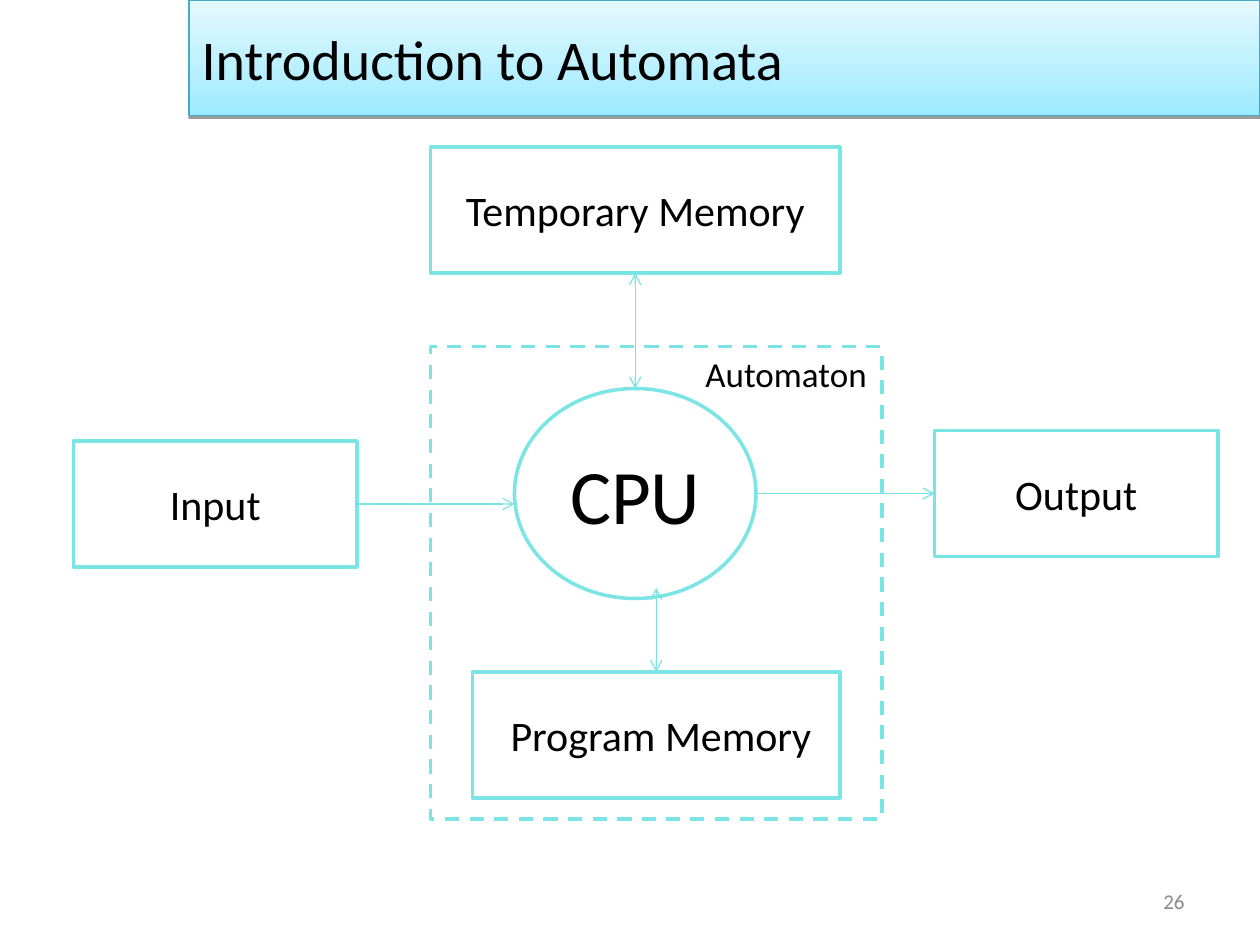
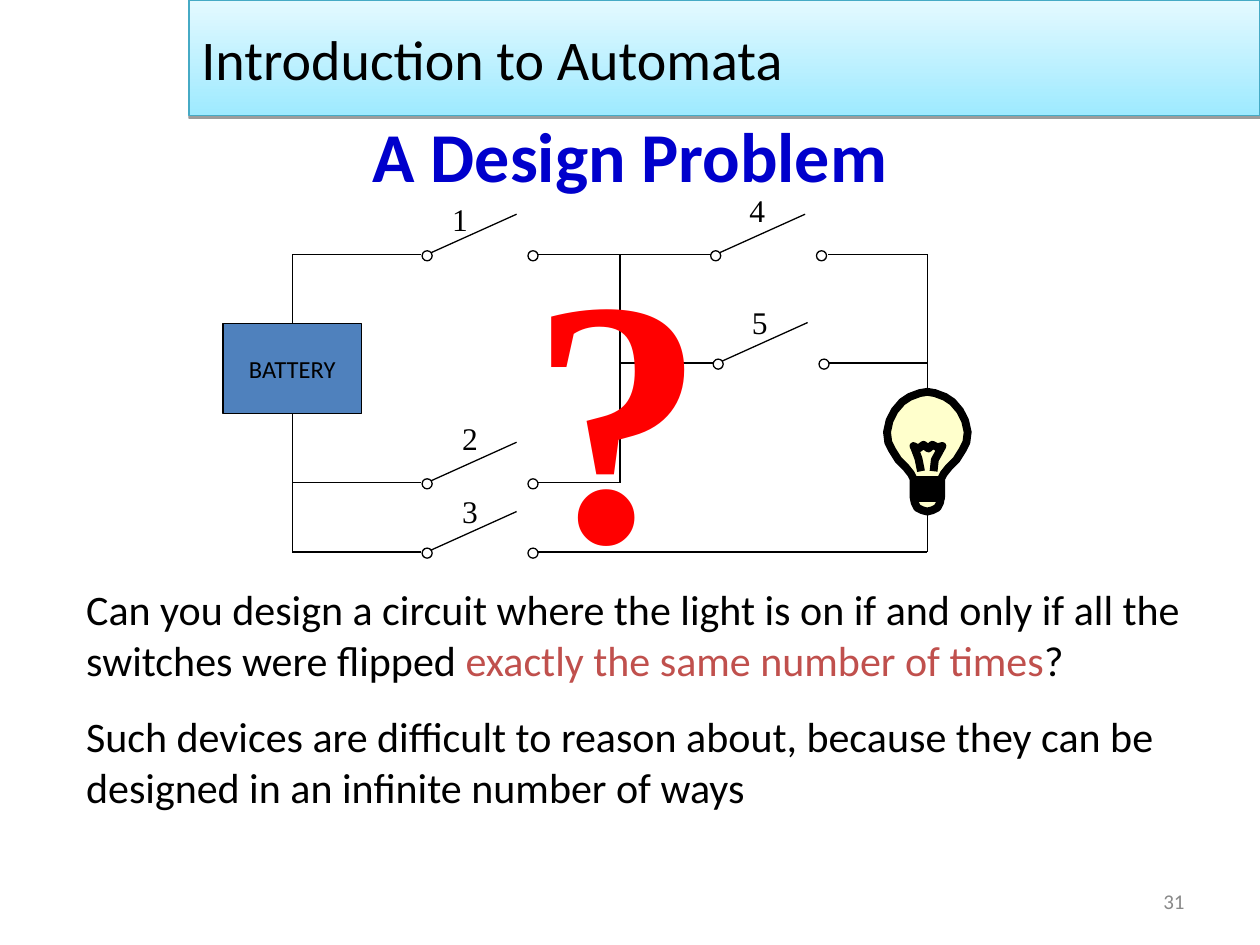
from dataclasses import dataclass
from typing import NamedTuple, Optional

from lxml import etree
from pptx import Presentation, util as u
from pptx.dml.color import RGBColor
from pptx.enum import dml, shapes, text
from pptx.oxml.ns import qn

COLORS = {
    "ink": "000000", "aqua": "7BE5E5", "band_low": "9EEAFF", "band_high": "E4F9FF",
    "band_edge": "46AAC5", "footer": "898989", "heading": "0000CC", "accent": "C0504D",
    "battery": "4F81BD", "contact": "FFFFFF", "bulb": "FFFFCC", "question": "FF0000",
}
SANS, SERIF = "Calibri", "Times New Roman"
WIDTH, HEIGHT = u.Inches(10), u.Inches(7.5)
RECT, OVAL = shapes.MSO_SHAPE.RECTANGLE, shapes.MSO_SHAPE.OVAL
LEFT, CENTER, RIGHT = text.PP_ALIGN.LEFT, text.PP_ALIGN.CENTER, text.PP_ALIGN.RIGHT
TOP, MIDDLE = text.MSO_ANCHOR.TOP, text.MSO_ANCHOR.MIDDLE
SIDE_TOP, SIDE_LEFT, SIDE_BOTTOM, SIDE_RIGHT = range(4)


class Box(NamedTuple):
    col: float
    row: float
    cols: float
    rows: float


class Point(NamedTuple):
    col: float
    row: float


@dataclass(frozen=True)
class Grid:
    columns: int
    rows: int

    def x(self, cols: float) -> int:
        return round(WIDTH * cols / self.columns)

    def y(self, rows: float) -> int:
        return round(HEIGHT * rows / self.rows)

    def place(self, box: Box) -> tuple:
        return self.x(box.col), self.y(box.row), self.x(box.cols), self.y(box.rows)

    def ends(self, start: Point, end: Point) -> tuple:
        return self.x(start.col), self.y(start.row), self.x(end.col), self.y(end.row)


PAGE = Grid(120, 90)
CIRCUIT = Grid(1000, 750)


@dataclass(frozen=True)
class Run:
    words: str
    size: float = 24
    color: str = "ink"
    font: str = SANS
    bold: bool = False


@dataclass(frozen=True)
class Unit:
    """A named part of the computer on the first slide."""
    name: str
    box: Box
    size: float = 24
    outline: int = RECT


@dataclass(frozen=True)
class Link:
    """A line; begin and end name the part and side it is joined to."""
    start: Point
    stop: Point
    begin: Optional[tuple] = None
    end: Optional[tuple] = None
    both_ways: bool = False


@dataclass(frozen=True)
class Switch:
    label: str
    contact: Point
    label_at: Point


UNITS = [
    Unit("CPU", Box(49, 37, 23, 20), 44, OVAL),
    Unit("Input", Box(7, 42, 27, 12)),
    Unit(" Program Memory", Box(45, 64, 35, 12)),
    Unit("Output", Box(89, 41, 27, 12)),
    Unit("Temporary Memory", Box(41, 14, 39, 12)),
]
FLOWS = [
    Link(Point(34, 48), Point(49, 48), begin=("Input", SIDE_RIGHT)),
    Link(Point(72, 47), Point(89, 47), end=("Output", SIDE_LEFT)),
    Link(Point(60.5, 26), Point(60.5, 37), begin=("Temporary Memory", SIDE_BOTTOM),
         both_ways=True),
    Link(Point(62.5, 56), Point(62.5, 64), end=(" Program Memory", SIDE_TOP), both_ways=True),
]

SWITCHES = [
    Switch("1", Point(335, 202), Point(349, 154)),
    Switch("2", Point(335, 383), Point(357, 328)),
    Switch("3", Point(335, 438), Point(357, 386)),
    Switch("4", Point(564, 202), Point(585, 147)),
    Switch("5", Point(566, 288), Point(587, 236)),
]
SOURCE_X, MIDDLE_X, LAMP_X = 232, 492, 736
TOP_Y, INNER_Y, LOWER_Y, BOTTOM_Y = 202, 288, 383, 438
WIRES = [
    Link(Point(SOURCE_X, 257), Point(SOURCE_X, TOP_Y), begin=("BATTERY", SIDE_TOP)),
    Link(Point(SOURCE_X, 328), Point(SOURCE_X, BOTTOM_Y), begin=("BATTERY", SIDE_BOTTOM)),
    Link(Point(MIDDLE_X, TOP_Y), Point(MIDDLE_X, LOWER_Y)),
    Link(Point(LAMP_X, TOP_Y), Point(LAMP_X, BOTTOM_Y)),
] + [Link(Point(left, row), Point(right, row)) for row, left, right in [
    (TOP_Y, SOURCE_X, 334), (TOP_Y, 421, 570), (TOP_Y, 657, LAMP_X),
    (INNER_Y, MIDDLE_X, 570), (INNER_Y, 657, LAMP_X),
    (LOWER_Y, SOURCE_X, 334), (LOWER_Y, 421, MIDDLE_X),
    (BOTTOM_Y, SOURCE_X, 334), (BOTTOM_Y, 421, LAMP_X),
]]

# Right half of the bulb: distance from its axis, then row.
BULB_HALF = [(0, 311), (6, 312), (14, 315), (20, 319), (26, 326), (30, 334), (32, 343),
             (31, 351), (28, 357), (23, 365), (17, 371), (13, 376), (11, 380), (11, 394),
             (10, 399), (8, 403), (4, 405), (0, 406)]
FILAMENT = [(731, 374), (729, 364), (726, 356), (725, 354), (729, 356), (733, 353), (737, 356),
            (740, 353), (744, 355), (748, 354), (742, 365), (741, 374)]
SCREW_BASE = [(725, 381), (747, 381), (747, 386), (725, 386), (725, 391), (747, 391),
              (747, 395), (726, 395)]


def rgb(name: str) -> RGBColor:
    return RGBColor.from_string(COLORS[name])


def write(shape, paragraphs: list, align=LEFT, anchor=TOP, wrap=True, gap: float = 0) -> None:
    """Fill a shape with paragraphs of runs, gap points apart."""
    frame = shape.text_frame
    frame.word_wrap = wrap
    frame.auto_size = text.MSO_AUTO_SIZE.NONE
    frame.vertical_anchor = anchor
    for index, runs in enumerate(paragraphs):
        paragraph = frame.add_paragraph() if index else frame.paragraphs[0]
        paragraph.alignment = align
        paragraph.space_before = u.Pt(gap if index else 0)
        for part in runs:
            run = paragraph.add_run()
            run.text = part.words
            run.font.size = u.Pt(part.size)
            run.font.name = part.font
            run.font.bold = part.bold
            run.font.color.rgb = rgb(part.color)


def style(shape, fill: Optional[str], line: str, weight: float) -> None:
    shape.shadow.inherit = False
    if fill:
        shape.fill.solid()
        shape.fill.fore_color.rgb = rgb(fill)
    else:
        shape.fill.background()
    shape.line.color.rgb = rgb(line)
    shape.line.width = u.Pt(weight)


def add_figure(slide, grid: Grid, box: Box, outline=RECT, fill=None, line="ink", weight=0.75):
    figure = slide.shapes.add_shape(outline, *grid.place(box))
    style(figure, fill, line, weight)
    return figure


def add_label(slide, grid: Grid, box: Box, run: Run, **layout):
    label = slide.shapes.add_textbox(*grid.place(box))
    write(label, [[run]], **layout)
    return label


def add_link(slide, grid: Grid, link: Link, parts: dict, color="ink"):
    line = slide.shapes.add_connector(shapes.MSO_CONNECTOR.STRAIGHT,
                                      *grid.ends(link.start, link.stop))
    if link.begin:
        line.begin_connect(parts[link.begin[0]], link.begin[1])
    if link.end:
        line.end_connect(parts[link.end[0]], link.end[1])
    line.line.color.rgb = rgb(color)
    line.line.width = u.Pt(0.75)
    etree.SubElement(line._element.spPr, qn("a:effectLst"))
    return line


def add_arrowheads(line, both_ways: bool) -> None:
    stroke = line._element.spPr.find(qn("a:ln"))
    for tag in ["a:headEnd", "a:tailEnd"] if both_ways else ["a:tailEnd"]:
        etree.SubElement(stroke, qn(tag), type="arrow")


def move(shape, box: Box) -> None:
    shape.left, shape.top, shape.width, shape.height = PAGE.place(box)


def paint_band(band) -> None:
    """Turn a shape into the course banner at the top of a slide."""
    move(band, Box(18, 0, 102, 11))
    style(band, None, "band_edge", 0.75)
    band.fill.gradient()
    band.fill.gradient_angle = 90
    for stop, color in zip(band.fill.gradient_stops, ["band_low", "band_high"]):
        stop.color.rgb = rgb(color)
    effects = band._element.spPr.find(qn("a:effectLst"))
    shadow = etree.SubElement(effects, qn("a:outerShdw"), blurRad="0",
                              dist=str(u.Pt(1.6)), dir="5400000", rotWithShape="0")
    tint = etree.SubElement(shadow, qn("a:srgbClr"), val=COLORS["ink"])
    etree.SubElement(tint, qn("a:alpha"), val="38000")
    write(band, [[Run("Introduction to Automata", 32)]], anchor=MIDDLE)


def add_page_number(slide, number: int) -> None:
    add_label(slide, PAGE, Box(86, 83.4, 28, 4.8), Run(str(number), 12, "footer"),
              align=RIGHT, anchor=MIDDLE)


def add_switch(slide, switch: Switch) -> None:
    col, row = switch.contact
    add_link(slide, CIRCUIT, Link(Point(col + 4, row), Point(col + 75, row - 32)), {})
    for contact_col in (col, col + 84):
        add_figure(slide, CIRCUIT, Box(contact_col, row - 3, 8, 8), OVAL, "contact")
    add_label(slide, CIRCUIT, Box(*switch.label_at, 34, 40),
              Run(switch.label, 18, font=SERIF), wrap=False)


def add_outline(slide, strokes: list, closed: bool, fill: Optional[str]) -> None:
    """Draw strokes of circuit grid points as one heavy freeform."""
    builder = slide.shapes.build_freeform(*strokes[0][0], scale=CIRCUIT.x(1))
    builder.add_line_segments(strokes[0][1:], close=closed)
    for stroke in strokes[1:]:
        builder.move_to(*stroke[0])
        builder.add_line_segments(stroke[1:], close=closed)
    style(builder.convert_to_shape(), fill, "ink", 4.5)


def add_bulb(slide) -> None:
    right = [(LAMP_X + offset, row) for offset, row in BULB_HALF]
    left = [(LAMP_X - offset, row) for offset, row in BULB_HALF[-2:0:-1]]
    add_outline(slide, [right + left], True, "bulb")
    add_outline(slide, [FILAMENT, SCREW_BASE], False, None)


def build_machine_slide(deck) -> None:
    slide = deck.slides.add_slide(deck.slide_layouts[5])
    paint_band(slide.shapes.title)
    parts = {}
    for unit in UNITS:
        parts[unit.name] = add_figure(slide, PAGE, unit.box, unit.outline, None, "aqua", 2)
        write(parts[unit.name], [[Run(unit.name, unit.size)]], CENTER, MIDDLE)
    for flow in FLOWS:
        add_arrowheads(add_link(slide, PAGE, flow, parts, "aqua"), flow.both_ways)
    automaton = add_figure(slide, PAGE, Box(41, 33, 43, 45), line="aqua", weight=2)
    automaton.line.dash_style = dml.MSO_LINE.DASH
    add_label(slide, PAGE, Box(66, 33, 19, 5.25), Run("Automaton", 20))
    add_page_number(slide, 26)


def build_circuit_slide(deck) -> None:
    slide = deck.slides.add_slide(deck.slide_layouts[1])
    heading, question = slide.shapes.title, slide.placeholders[1]
    move(heading, Box(6, 11, 108, 7.5))
    write(heading, [[Run("A Design Problem", 40, "heading", bold=True)]], CENTER, MIDDLE)
    move(question, Box(7, 55, 108.75, 35))
    write(question, [
        [Run("Can you design a circuit where the light is on if and only if all the "
             "switches were flipped "),
         Run("exactly the same number of times", color="accent"), Run("?")],
        [Run("Such devices are difficult to reason about, because they can be designed "
             "in an infinite number of ways")],
    ], gap=15)
    for paragraph in question.text_frame.paragraphs:
        properties = paragraph._p.get_or_add_pPr()
        properties.set("marL", "0")
        properties.set("indent", "0")
        etree.SubElement(properties, qn("a:buNone"))

    battery = add_figure(slide, CIRCUIT, Box(177, 257, 110, 71), fill="battery")
    write(battery, [[Run("BATTERY", 14)]], CENTER, MIDDLE, wrap=False)
    for wire in WIRES:
        add_link(slide, CIRCUIT, wire, {"BATTERY": battery})
    for switch in SWITCHES:
        add_switch(slide, switch)
    add_bulb(slide)
    add_label(slide, CIRCUIT, Box(411, 147, 173, 344),
              Run("?", 200, "question", SERIF, True), wrap=False)
    paint_band(slide.shapes.add_shape(RECT, 0, 0, WIDTH, HEIGHT))
    add_page_number(slide, 31)


def main() -> None:
    deck = Presentation()
    deck.slide_width, deck.slide_height = WIDTH, HEIGHT
    build_machine_slide(deck)
    build_circuit_slide(deck)
    deck.save("out.pptx")


if __name__ == "__main__":
    main()
